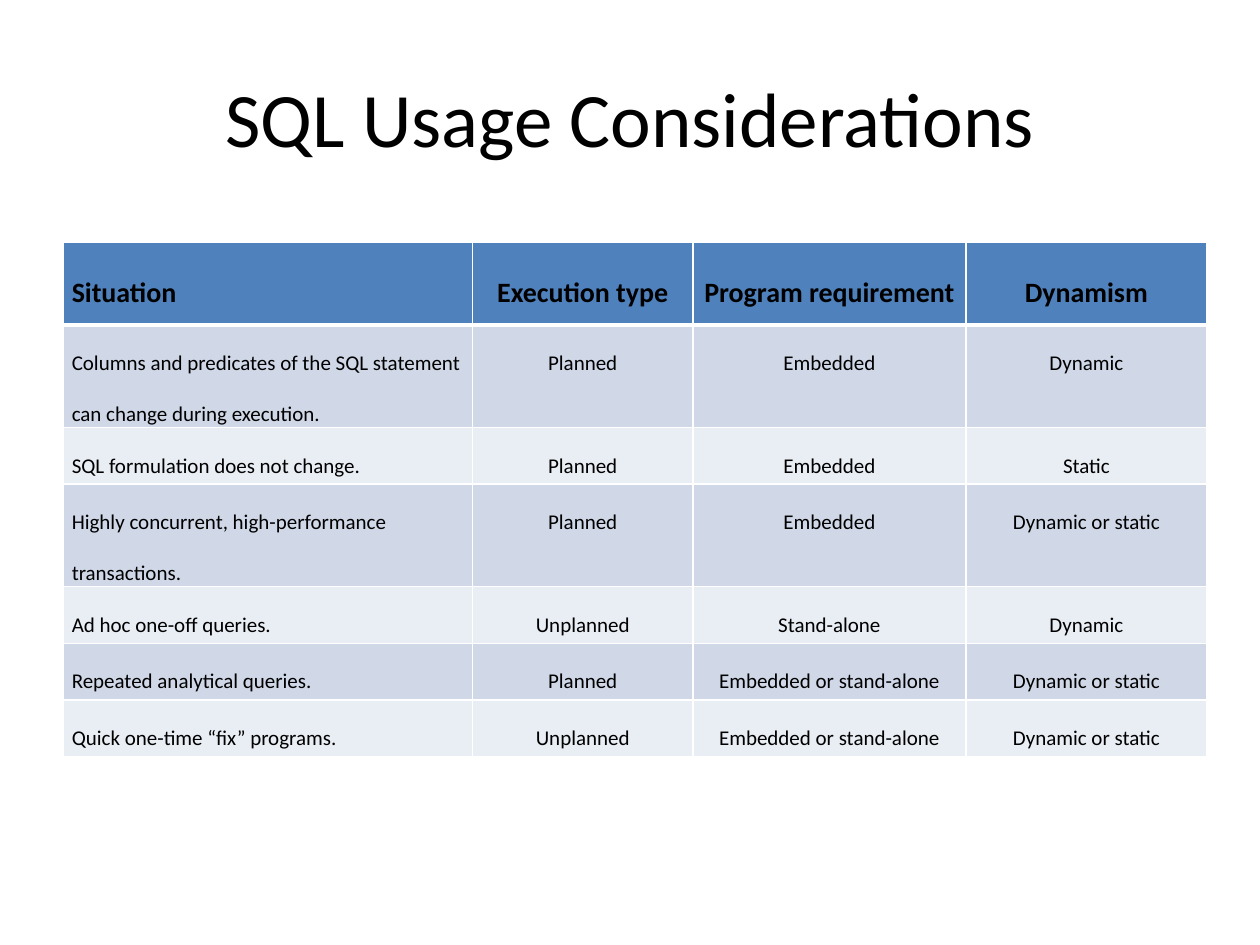
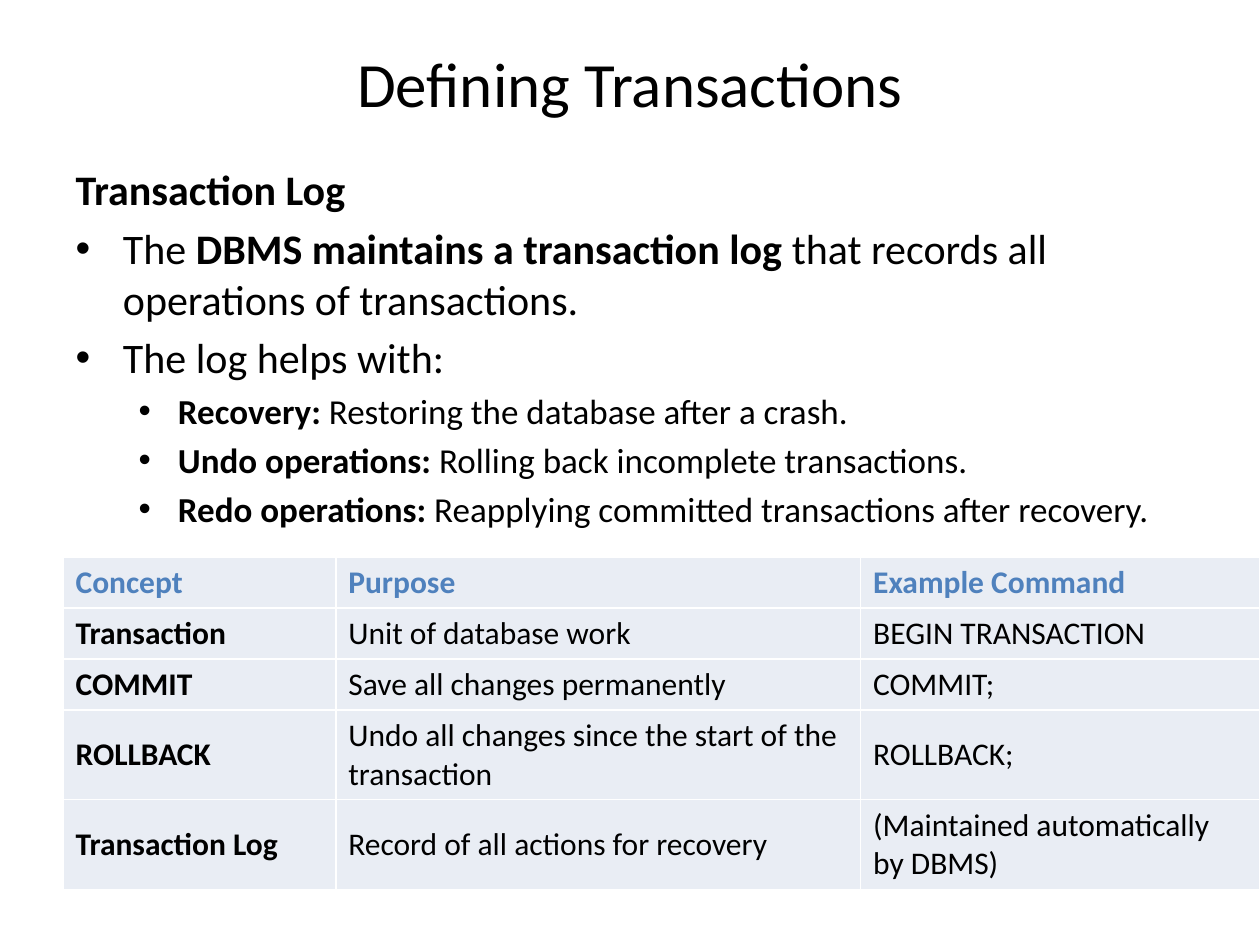
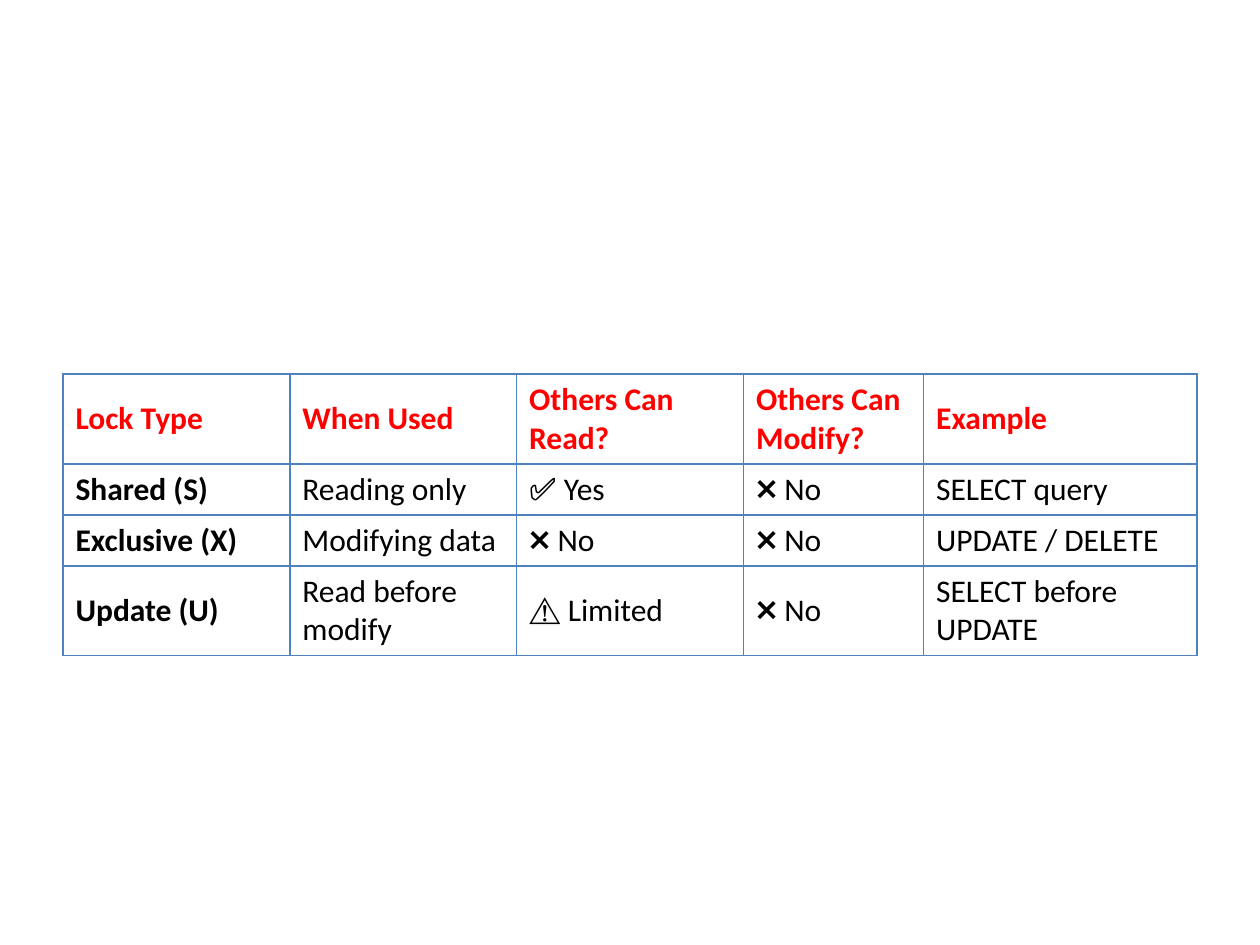
from dataclasses import dataclass

from lxml import etree
from pptx import Presentation
from pptx.dml.color import RGBColor
from pptx.enum.text import MSO_ANCHOR, MSO_AUTO_SIZE, PP_ALIGN
from pptx.oxml.ns import qn
from pptx.util import Inches, Pt

LEFT, CENTER = PP_ALIGN.LEFT, PP_ALIGN.CENTER
TOP, MIDDLE = MSO_ANCHOR.TOP, MSO_ANCHOR.MIDDLE
NO_FIT = MSO_AUTO_SIZE.NONE
TITLE_ONLY, TITLE_AND_BODY, BLANK = 5, 1, 6
GRID_COLUMNS, GRID_ROWS = 20, 15
WIDTH, HEIGHT = Inches(10), Inches(7.5)


@dataclass(frozen=True)
class Theme:
    font: str = "Calibri"
    black: str = "000000"
    white: str = "FFFFFF"
    blue: str = "4F81BD"
    red: str = "FF0000"
    band: str = "D0D8E8"
    pale: str = "E9EDF4"
    title: int = 44
    small_title: int = 36
    levels: tuple = (24, 20)
    cell: int = 18
    dense_head: int = 16
    dense_cell: int = 12
    line: int = 1
    thick_line: int = 3


THEME = Theme()


@dataclass(frozen=True)
class TableStyle:
    head_color: str
    border: str
    fills: tuple
    head_fill: str = None
    head_size: int = THEME.cell
    body_size: int = THEME.cell
    head_line: int = THEME.line
    bold_first_column: bool = True
    anchor: int = MIDDLE
    later_align: int = LEFT
    line_spacing: float = 1.0
    margins: tuple = (0.1, 0.05)


DENSE = TableStyle(
    head_color=THEME.black, border=THEME.white,
    fills=(THEME.band, THEME.pale), head_fill=THEME.blue,
    head_size=THEME.dense_head, body_size=THEME.dense_cell,
    head_line=THEME.thick_line, bold_first_column=False, anchor=TOP,
    later_align=CENTER, line_spacing=2.0, margins=(0.07, 0),
)
PLAIN = TableStyle(
    head_color=THEME.blue, border=THEME.white,
    fills=(THEME.pale,), head_fill=THEME.pale,
)
OUTLINED = TableStyle(
    head_color=THEME.red, border=THEME.blue, fills=(None,),
)

USAGE = (
    ("Situation", "Execution type", "Program requirement", "Dynamism"),
    ("Columns and predicates of the SQL statement can change during execution.",
     "Planned", "Embedded", "Dynamic"),
    ("SQL formulation does not change.", "Planned", "Embedded", "Static"),
    ("Highly concurrent, high-performance transactions.",
     "Planned", "Embedded", "Dynamic or static"),
    ("Ad hoc one-off queries.", "Unplanned", "Stand-alone", "Dynamic"),
    ("Repeated analytical queries.", "Planned", "Embedded or stand-alone",
     "Dynamic or static"),
    ("Quick one-time “fix” programs.", "Unplanned", "Embedded or stand-alone",
     "Dynamic or static"),
)
CONCEPTS = (
    ("Concept", "Purpose", "Example Command"),
    ("Transaction", "Unit of database work", "BEGIN TRANSACTION"),
    ("COMMIT", "Save all changes permanently", "COMMIT;"),
    ("ROLLBACK", "Undo all changes since the start of the transaction",
     "ROLLBACK;"),
    ("Transaction Log", "Record of all actions for recovery",
     "(Maintained automatically by DBMS)"),
)
LOCKS = (
    ("Lock Type", "When Used", "Others Can Read?", "Others Can Modify?",
     "Example"),
    ("Shared (S)", "Reading only", "✅ Yes", "❌ No", "SELECT query"),
    ("Exclusive (X)", "Modifying data", "❌ No", "❌ No", "UPDATE / DELETE"),
    ("Update (U)", "Read before modify", "⚠ Limited", "❌ No",
     "SELECT before UPDATE"),
)
LOG_POINTS = (
    (0, None, (("Transaction Log", True),)),
    (0, "•", (("The ", False), ("DBMS maintains a transaction log", True),
              (" that records all operations of transactions.", False))),
    (0, "•", (("The log helps with:", False),)),
    (1, "•", (("Recovery:", True),
              (" Restoring the database after a crash.", False))),
    (1, "•", (("Undo operations:", True),
              (" Rolling back incomplete transactions.", False))),
    (1, "•", (("Redo operations:", True),
              (" Reapplying committed transactions after recovery.", False))),
)


def across(columns):
    return round(WIDTH * columns / GRID_COLUMNS)


def down(rows):
    return round(HEIGHT * rows / GRID_ROWS)


def place(box, left, top, width, height):
    box.left, box.top = across(left), down(top)
    box.width, box.height = across(width), down(height)


def add_span(para, text, size, bold=False, color=THEME.black):
    span = para.add_run()
    span.text = text
    span.font.name = THEME.font
    span.font.size = Pt(size)
    span.font.bold = bold
    span.font.color.rgb = RGBColor.from_string(color)


def set_bullet(para, mark):
    properties = para._p.get_or_add_pPr()
    if mark:
        etree.SubElement(properties, qn("a:buChar"), char=mark)
    else:
        etree.SubElement(properties, qn("a:buNone"))


def set_title(page, text, size, top, height):
    box = page.shapes.title
    place(box, 1, top, 18, height)
    frame = box.text_frame
    frame.auto_size = NO_FIT
    frame.vertical_anchor = MIDDLE
    para = frame.paragraphs[0]
    para.alignment = CENTER
    add_span(para, text, size)


def set_body(page, points, top, height):
    box = page.placeholders[1]
    place(box, 1, top, 18, height)
    frame = box.text_frame
    frame.auto_size = NO_FIT
    for index, (level, mark, spans) in enumerate(points):
        para = frame.add_paragraph() if index else frame.paragraphs[0]
        para.level = level
        if index == 0:
            para.space_before = Pt(0)
        set_bullet(para, mark)
        for text, bold in spans:
            add_span(para, text, THEME.levels[level], bold)


def set_borders(cell, color, top, bottom):
    properties = cell._tc.get_or_add_tcPr()
    widths = {"L": THEME.line, "R": THEME.line, "T": top, "B": bottom}
    for side, width in widths.items():
        line = etree.SubElement(properties, qn(f"a:ln{side}"), w=str(Pt(width)))
        fill = etree.SubElement(line, qn("a:solidFill"))
        etree.SubElement(fill, qn("a:srgbClr"), val=color)


def set_fill(cell, color):
    if color:
        cell.fill.solid()
        cell.fill.fore_color.rgb = RGBColor.from_string(color)
    else:
        cell.fill.background()


def set_cell(cell, text, row, column, style):
    head = row == 0
    set_borders(cell, style.border,
                style.head_line if row == 1 else THEME.line,
                style.head_line if head else THEME.line)
    set_fill(cell, style.head_fill if head
             else style.fills[(row - 1) % len(style.fills)])
    side, edge = (Inches(margin) for margin in style.margins)
    cell.margin_left = cell.margin_right = side
    cell.margin_top = cell.margin_bottom = edge
    cell.vertical_anchor = style.anchor
    para = cell.text_frame.paragraphs[0]
    para.alignment = style.later_align if column else LEFT
    para.line_spacing = style.line_spacing
    add_span(para, text, style.head_size if head else style.body_size,
             head or (style.bold_first_column and column == 0),
             style.head_color if head else THEME.black)


def add_grid_table(page, content, top, widths, heights, style):
    table = page.shapes.add_table(
        len(heights), len(widths), across(1), down(top),
        across(sum(widths)), down(sum(heights))).table
    table.first_row = table.horz_banding = False
    for column, width in zip(table.columns, widths):
        column.width = across(width)
    for row, height in zip(table.rows, heights):
        row.height = down(height)
    for row, texts in enumerate(content):
        for column, text in enumerate(texts):
            set_cell(table.cell(row, column), text, row, column, style)


def add_usage_page(deck):
    page = deck.slides.add_slide(deck.slide_layouts[TITLE_ONLY])
    set_title(page, "SQL Usage Considerations", THEME.title, 0.6, 2.5)
    add_grid_table(page, USAGE, 3.84, (6.5, 3.5, 4.33, 3.83),
                   (1.32, 1.32, 0.9, 1.32, 0.9, 0.9, 0.9), DENSE)


def add_transactions_page(deck):
    page = deck.slides.add_slide(deck.slide_layouts[TITLE_AND_BODY])
    set_title(page, "Defining Transactions", THEME.small_title, 0.6, 1.4)
    set_body(page, LOG_POINTS, 2.5, 6.5)
    add_grid_table(page, CONCEPTS, 8.84, (4.33, 8.33, 6.33),
                   (0.8, 0.8, 0.8, 1.4, 1.4), PLAIN)


def add_locks_page(deck):
    page = deck.slides.add_slide(deck.slide_layouts[BLANK])
    add_grid_table(page, LOCKS, 5.94, (3.6, 3.6, 3.6, 2.86, 4.34),
                   (1.4, 0.8, 0.8, 1.4), OUTLINED)


def main():
    deck = Presentation()
    deck.slide_width, deck.slide_height = WIDTH, HEIGHT
    add_usage_page(deck)
    add_transactions_page(deck)
    add_locks_page(deck)
    deck.save("out.pptx")


if __name__ == "__main__":
    main()
